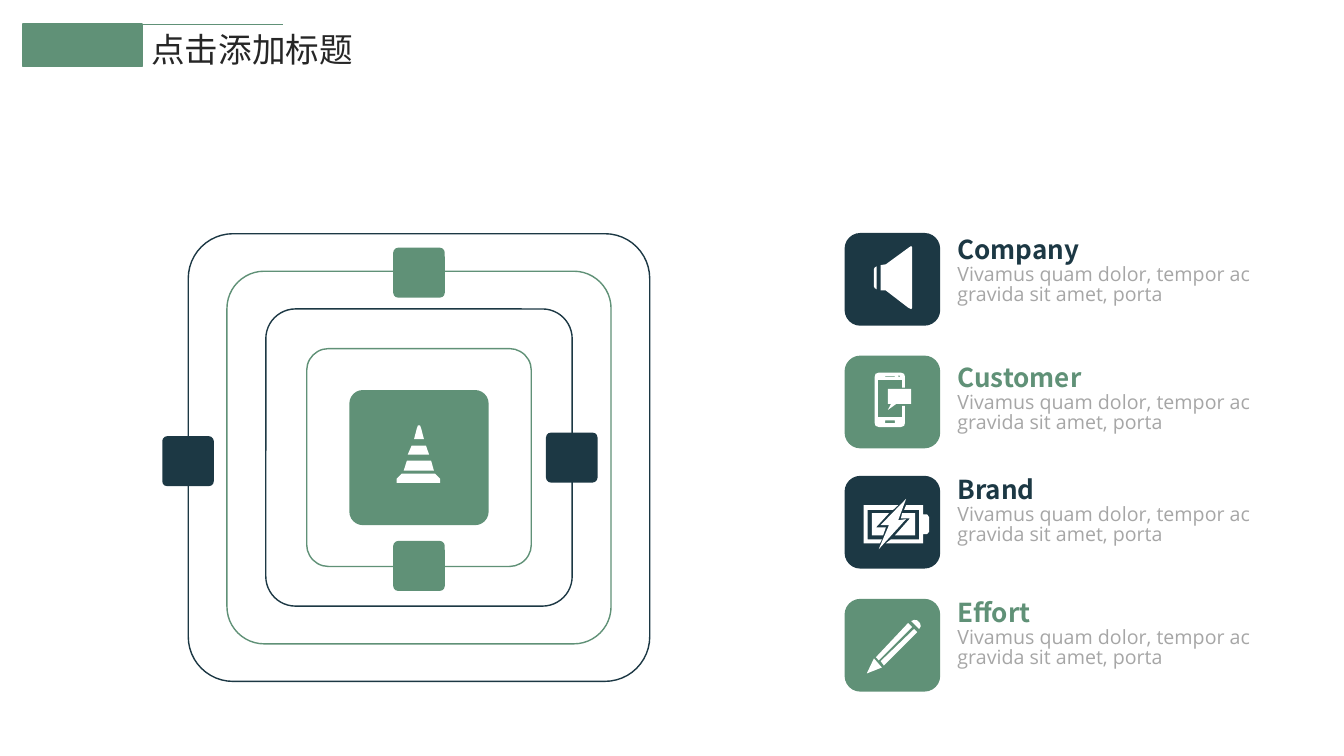
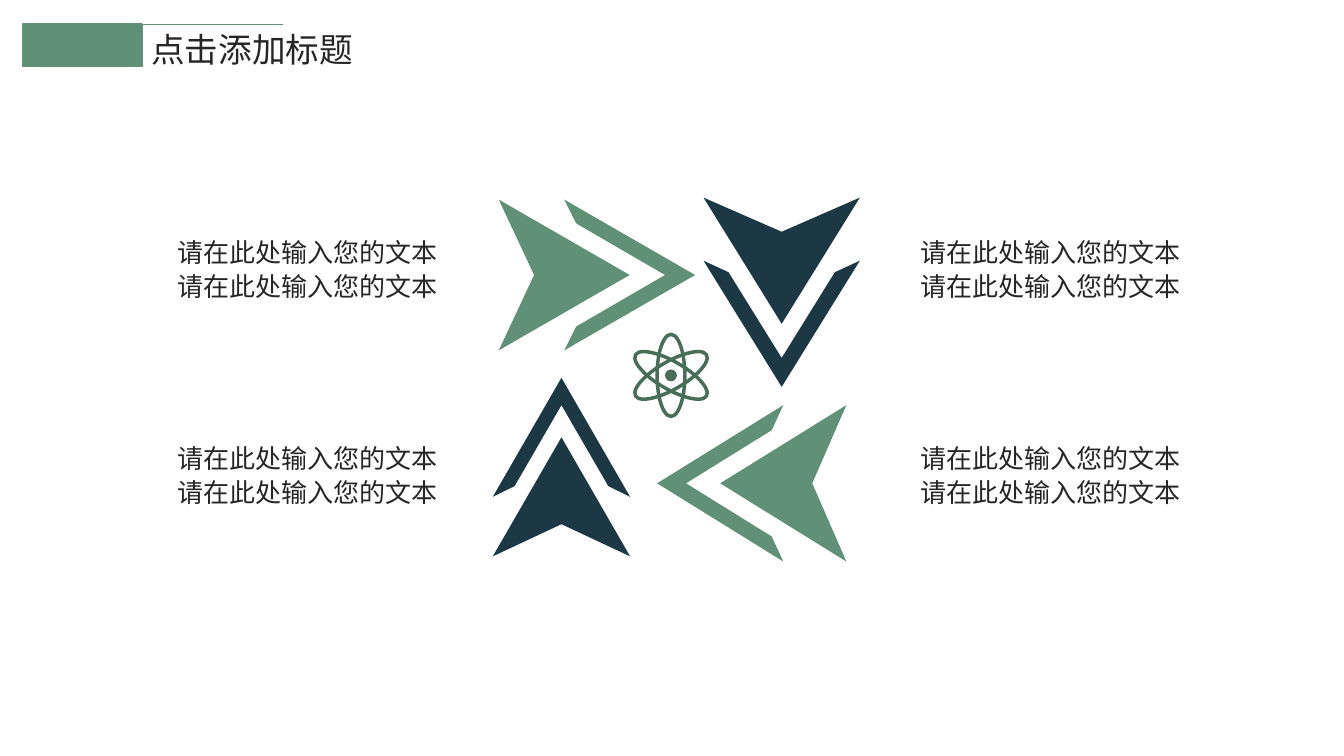
"""Build two diagram slides: nested squares with a legend, and a cycle of four arrows."""
from lxml import etree
from pptx import Presentation
from pptx.dml.color import RGBColor
from pptx.enum.shapes import MSO_CONNECTOR, MSO_SHAPE
from pptx.enum.text import MSO_ANCHOR, MSO_AUTO_SIZE, PP_ALIGN
from pptx.oxml.ns import qn
from pptx.util import Cm, Pt

STRAIGHT = MSO_CONNECTOR.STRAIGHT
RECTANGLE = MSO_SHAPE.RECTANGLE
ROUNDED = MSO_SHAPE.ROUNDED_RECTANGLE
OVAL = MSO_SHAPE.OVAL
MIDDLE = MSO_ANCHOR.MIDDLE
NO_FIT = MSO_AUTO_SIZE.NONE
LEFT, CENTER = PP_ALIGN.LEFT, PP_ALIGN.CENTER

COLORS = {
    "green": "609177",
    "navy": "1C3844",
    "atom": "486D59",
    "text": "262626",
    "gray": "A6A6A6",
    "white": "FFFFFF",
}
CJK_FONT = "Noto Sans CJK SC"
LATIN_FONT = "Open Sans"
TITLE_ONLY = 5
GRID = Cm(0.01)


def style_paragraph(paragraph, font_name, size, color, bold=False, align=LEFT, spacing=1.0):
    """Format a paragraph and its runs."""
    paragraph.alignment = align
    paragraph.line_spacing = spacing
    for run in paragraph.runs:
        run.font.name = font_name
        run.font.size = Pt(size)
        run.font.bold = bold
        run.font.color.rgb = RGBColor.from_string(COLORS[color])
        east_asian = etree.SubElement(run.font._element, qn("a:ea"))
        east_asian.set("typeface", font_name)


def add_outline(slide, contours, left, top, color):
    """Draw closed contours, in tenths of a millimetre from left and top, as one filled shape."""
    builder = slide.shapes.build_freeform(*contours[0][0], scale=GRID)
    builder.add_line_segments(contours[0][1:], close=True)
    for contour in contours[1:]:
        builder.move_to(*contour[0])
        builder.add_line_segments(contour[1:], close=True)
    shape = builder.convert_to_shape(Cm(left), Cm(top))
    shape.shadow.inherit = False
    shape.fill.solid()
    shape.fill.fore_color.rgb = RGBColor.from_string(COLORS[color])
    shape.line.fill.background()


presentation = Presentation()
presentation.slide_width = Cm(33.87)
presentation.slide_height = Cm(19.05)
layout = presentation.slide_layouts[TITLE_ONLY]
squares_slide, arrows_slide = [presentation.slides.add_slide(layout) for _ in range(2)]

for slide in (squares_slide, arrows_slide):
    title = slide.shapes.title
    title.left, title.top, title.width, title.height = Cm(3.56), Cm(0.61), Cm(6.05), Cm(1.27)
    title.text_frame.text = "点击添加标题"
    title.text_frame.auto_size = NO_FIT
    title.text_frame.vertical_anchor = MIDDLE
    style_paragraph(title.text_frame.paragraphs[0], CJK_FONT, 24, "text")

    rule = slide.shapes.add_connector(STRAIGHT, Cm(0.56), Cm(0.61), Cm(7.14), Cm(0.61))
    rule.line.color.rgb = RGBColor.from_string(COLORS["green"])
    rule.line.width = Pt(0.5)
    etree.SubElement(rule._element.spPr, qn("a:effectLst"))

    band = slide.shapes.add_shape(RECTANGLE, Cm(0.58), Cm(0.61), Cm(3), Cm(1.07))
    band.shadow.inherit = False
    band.fill.solid()
    band.fill.fore_color.rgb = RGBColor.from_string(COLORS["green"])
    band.line.color.rgb = RGBColor.from_string(COLORS["green"])
    band.line.width = Pt(1)

HEIGHT_RATIO = 0.97
HUB_X, HUB_Y, HUB_WIDTH = 10.56, 11.53, 3.51
TILE_X, TILE_WIDTH = 22.49, 2.41
MARKER_WIDTH = 1.3
RING_CORNER, TILE_CORNER = 0.1, 0.17

legend = [
    ("Company", "navy", 7.04, 5.87),
    ("Customer", "green", 10.13, 9.09),
    ("Brand", "navy", 13.16, 11.91),
    ("Effort", "green", 16.26, 15.01),
]
squares = [
    (HUB_X, HUB_Y, 11.63, RING_CORNER, "navy", False),
    (HUB_X, HUB_Y, 9.68, RING_CORNER, "green", False),
    (HUB_X, HUB_Y, 7.72, RING_CORNER, "navy", False),
    (HUB_X, HUB_Y, 5.66, RING_CORNER, "green", False),
    (HUB_X, HUB_Y, HUB_WIDTH, RING_CORNER, "green", True),
    (HUB_X, 14.26, MARKER_WIDTH, RING_CORNER, "green", True),
    (14.41, 11.53, MARKER_WIDTH, RING_CORNER, "navy", True),
    (HUB_X, 6.87, MARKER_WIDTH, RING_CORNER, "green", True),
    (4.74, 11.62, MARKER_WIDTH, RING_CORNER, "navy", True),
]
squares += [
    (TILE_X, tile_y, TILE_WIDTH, TILE_CORNER, color, True)
    for _, color, tile_y, _ in legend
]
for center_x, center_y, width, corner, color, filled in squares:
    height = width * HEIGHT_RATIO
    square = squares_slide.shapes.add_shape(
        ROUNDED, Cm(center_x - width / 2), Cm(center_y - height / 2), Cm(width), Cm(height)
    )
    square.adjustments[0] = corner
    square.shadow.inherit = False
    if filled:
        square.fill.solid()
        square.fill.fore_color.rgb = RGBColor.from_string(COLORS[color])
        square.line.fill.background()
    else:
        square.fill.background()
        square.line.color.rgb = RGBColor.from_string(COLORS[color])
        square.line.width = Pt(1)

for heading, color, _, text_top in legend:
    box = squares_slide.shapes.add_textbox(Cm(23.88), Cm(text_top), Cm(8.31), Cm(2.26))
    box.text_frame.word_wrap = True
    box.text_frame.text = f"{heading}\nVivamus quam dolor, tempor ac gravida sit amet, porta"
    heading_paragraph, body_paragraph = box.text_frame.paragraphs
    style_paragraph(heading_paragraph, CJK_FONT, 18.6, color, bold=True, spacing=0.87)
    style_paragraph(body_paragraph, LATIN_FONT, 14, "gray", spacing=0.87)

megaphone = [
    [(91, 81), (104, 79), (163, 36), (168, 33), (170, 36), (170, 189), (168, 192),
     (160, 188), (104, 145), (91, 145)],
    [(81, 84), (76, 87), (74, 91), (74, 135), (76, 139), (81, 142)],
]
phone = [
    [(145, 155), (84, 155), (84, 61), (145, 61), (145, 81), (152, 81), (152, 53), (150, 46),
     (142, 43), (86, 43), (78, 46), (76, 53), (76, 170), (78, 177), (86, 180), (142, 180),
     (150, 177), (152, 170), (152, 127), (145, 127)],
    [(102, 51), (127, 51), (127, 53), (102, 53)],
    [(135, 52), (137, 49), (140, 52), (137, 55)],
    [(102, 163), (127, 163), (127, 170), (102, 170)],
    [(109, 122), (117, 122), (109, 137), (130, 122), (168, 122), (168, 84), (109, 84)],
]
battery = [
    [(58, 160), (58, 86), (122, 86), (135, 74), (48, 74), (48, 170), (89, 170), (94, 160)],
    [(198, 97), (198, 74), (155, 74), (150, 86), (188, 86), (188, 160), (117, 160),
     (104, 170), (198, 170), (198, 147), (208, 147), (213, 141), (213, 104), (208, 97)],
    [(69, 94), (69, 150), (97, 150), (104, 130), (79, 130), (112, 94)],
    [(165, 107), (127, 150), (178, 150), (178, 94), (145, 94), (142, 107)],
    [(135, 112), (155, 58), (91, 124), (112, 124), (86, 185), (155, 109)],
]
pencil = [
    [(74, 150), (56, 188), (94, 173)],
    [(160, 61), (79, 147), (86, 155), (170, 71)],
    [(175, 76), (91, 157), (99, 168), (183, 84)],
    [(168, 56), (175, 53), (183, 54), (190, 61), (192, 69), (188, 76)],
]
cone = [
    [(119, 234), (119, 224), (132, 211), (216, 211), (229, 224), (229, 234)],
    [(137, 203), (145, 178), (206, 178), (213, 203)],
    [(147, 163), (157, 140), (193, 140), (201, 163)],
    [(163, 124), (170, 97), (173, 89), (178, 89), (181, 97), (188, 124)],
]
icons = [(cone, HUB_X, HUB_Y, HUB_WIDTH)]
icons += [
    (icon, TILE_X, row[2], TILE_WIDTH)
    for icon, row in zip((megaphone, phone, battery, pencil), legend)
]
for icon, center_x, center_y, width in icons:
    left, top = center_x - width / 2, center_y - width * HEIGHT_RATIO / 2
    add_outline(squares_slide, icon, left, top, "white")

ARROWHEAD = [(0, -0.5), (1, 0), (0, 0.5), (0.27, 0)]
CHEVRON = [(0.5, -0.5), (0.59, -0.34), (1.27, 0), (0.59, 0.34), (0.5, 0.5), (1.5, 0)]
arrows = [
    (12.57, 6.93, 3.3, 3.81, (1, 0), "green"),
    (19.7, 4.98, 3.18, 3.94, (0, 1), "navy"),
    (21.33, 12.18, 3.18, 3.94, (-1, 0), "green"),
    (14.15, 14.02, 3, 3.46, (0, -1), "navy"),
]
for tail_x, tail_y, length, breadth, (step_x, step_y), color in arrows:
    for part in (ARROWHEAD, CHEVRON):
        points = [
            (
                round(100 * (along * length * step_x - across * breadth * step_y)),
                round(100 * (along * length * step_y + across * breadth * step_x)),
            )
            for along, across in part
        ]
        add_outline(arrows_slide, [points], tail_x, tail_y, color)

ATOM_X, ATOM_Y = 16.91, 9.46
atom_ovals = [(0.7, 2.07, 0), (0.7, 2.07, 60), (0.7, 2.07, 120), (0.3, 0.3, 0)]
for width, height, angle in atom_ovals:
    oval = arrows_slide.shapes.add_shape(
        OVAL, Cm(ATOM_X - width / 2), Cm(ATOM_Y - height / 2), Cm(width), Cm(height)
    )
    oval.rotation = angle
    oval.shadow.inherit = False
    if width == height:
        oval.fill.solid()
        oval.fill.fore_color.rgb = RGBColor.from_string(COLORS["atom"])
        oval.line.fill.background()
    else:
        oval.fill.background()
        oval.line.color.rgb = RGBColor.from_string(COLORS["atom"])
        oval.line.width = Pt(2.5)

for top in (5.77, 10.95):
    for left in (4.04, 22.76):
        box = arrows_slide.shapes.add_textbox(Cm(left), Cm(top), Cm(7.42), Cm(2.34))
        box.text_frame.word_wrap = True
        box.text_frame.text = "请在此处输入您的文本\n请在此处输入您的文本"
        for paragraph in box.text_frame.paragraphs:
            style_paragraph(paragraph, CJK_FONT, 18.6, "text", align=CENTER, spacing=1.09)

presentation.save("out.pptx")
